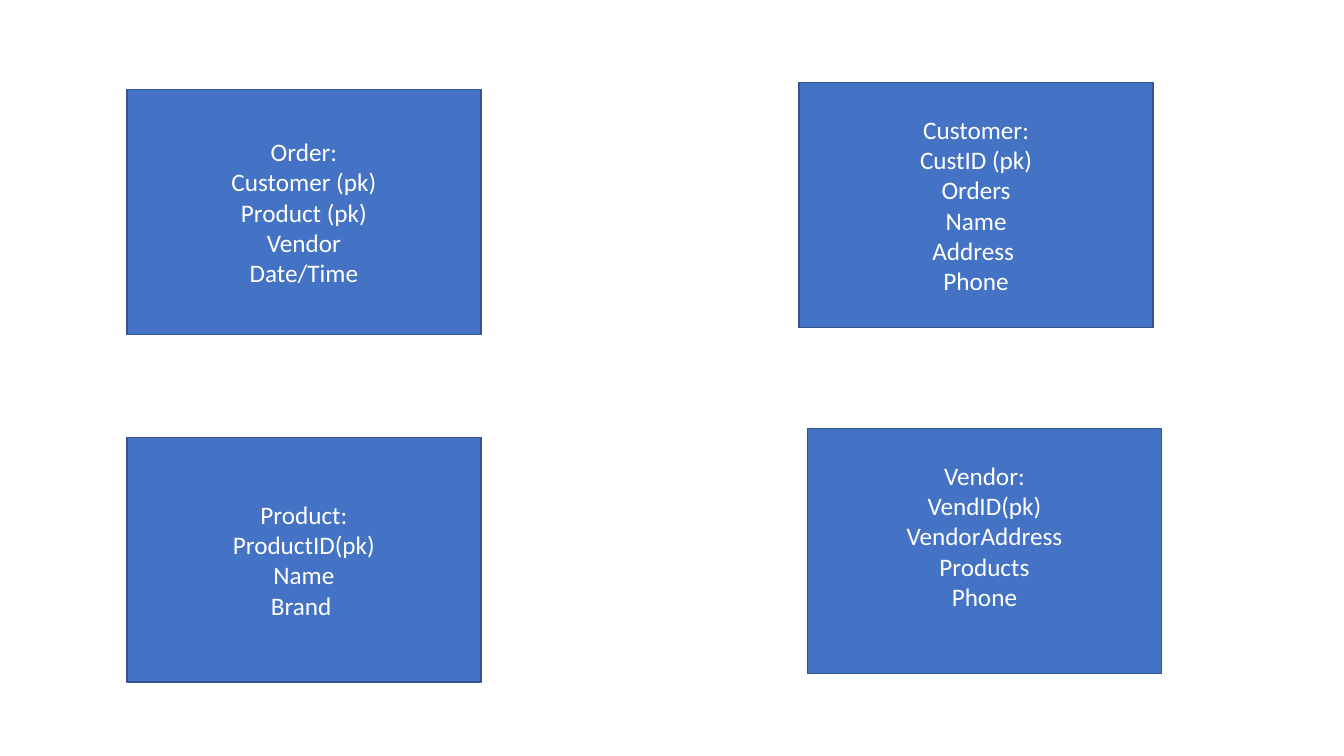
from pptx import Presentation
from pptx.dml.color import RGBColor
from pptx.enum.shapes import MSO_SHAPE as SHAPE
from pptx.enum.text import MSO_ANCHOR as ANCHOR, PP_ALIGN as ALIGN
from pptx.util import Cm, Pt

FILL, LINE, TEXT = "4472C4", "325491", "FFFFFF"
BOX_W, BOX_H = 8.92, 6.17
INSET = 0.13
LINE_HEIGHT = 0.76

# left, top, lines kept free below the text, entity and its fields
ENTITIES = [
    (3.2, 2.26, 0, ["Order:", "Customer (pk)", "Product (pk)", "Vendor", "Date/Time"]),
    (20.14, 2.08, 0, ["Customer:", "CustID (pk)", "Orders", "Name", "Address ", "Phone"]),
    (3.2, 11.02, 0, ["Product:", "ProductID(pk)", "Name", "Brand "]),
    (20.35, 10.8, 1, ["Vendor:", "VendID(pk)", "VendorAddress", "Products", "Phone"]),
]


def color(hex_code):
    return RGBColor.from_string(hex_code)


def write(tf, lines, size=18, font="Calibri", ink=TEXT, align=ALIGN.CENTER):
    """Put each line in its own paragraph."""
    for i, line in enumerate(lines):
        p = tf.add_paragraph() if i else tf.paragraphs[0]
        p.alignment = align
        r = p.add_run()
        r.text = line
        r.font.size = Pt(size)
        r.font.name = font
        r.font.color.rgb = color(ink)


def add_entity(s, left, top, free_lines, lines):
    sp = s.shapes.add_shape(SHAPE.RECTANGLE, Cm(left), Cm(top), Cm(BOX_W), Cm(BOX_H))
    sp.shadow.inherit = False
    sp.fill.solid()
    sp.fill.fore_color.rgb = color(FILL)
    sp.line.color.rgb = color(LINE)
    sp.line.width = Pt(1)
    tf = sp.text_frame
    tf.word_wrap = True
    tf.vertical_anchor = ANCHOR.MIDDLE
    tf.margin_top = Cm(INSET)
    tf.margin_bottom = Cm(INSET + free_lines * LINE_HEIGHT)
    write(tf, lines)


def main():
    prs = Presentation()
    prs.slide_width, prs.slide_height = Cm(33.87), Cm(19.05)
    s = prs.slides.add_slide(prs.slide_layouts[6])
    for entity in ENTITIES:
        add_entity(s, *entity)
    prs.save("out.pptx")


if __name__ == "__main__":
    main()
